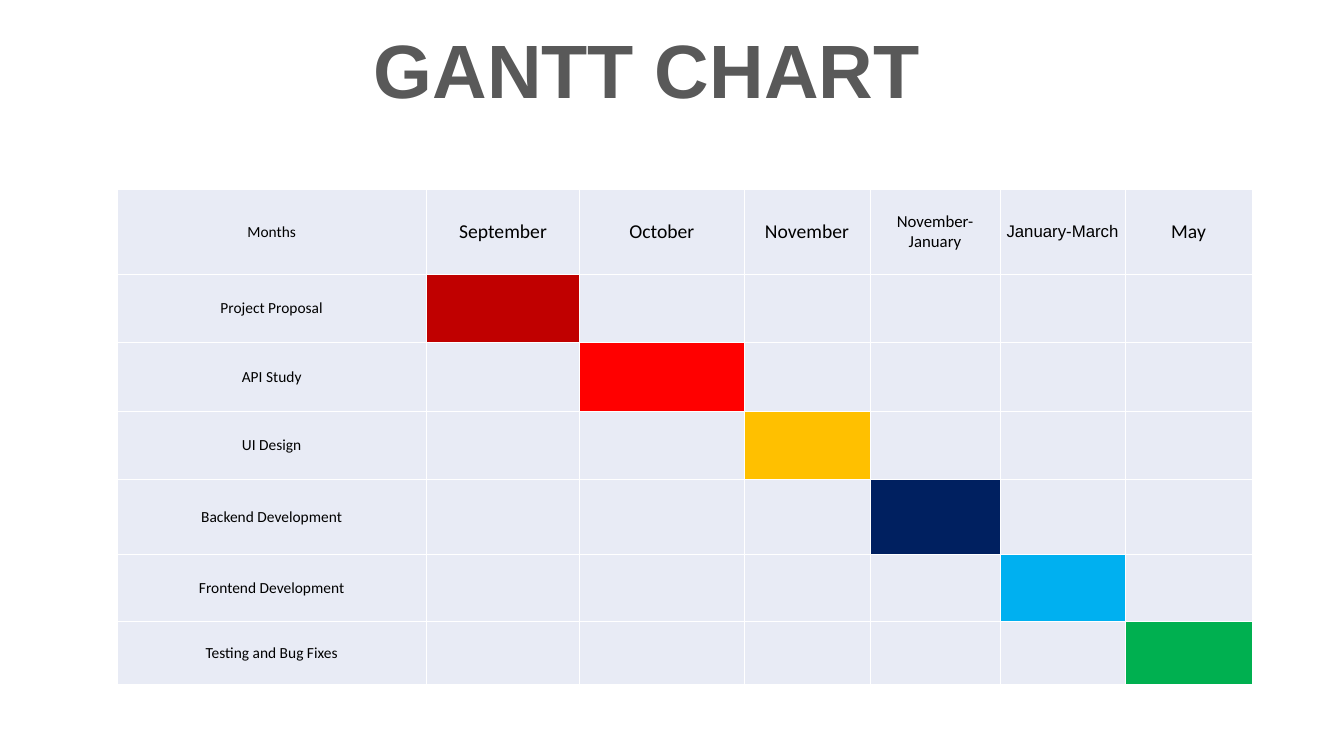
from lxml.etree import SubElement
from pptx import Presentation
from pptx.dml.color import RGBColor
from pptx.enum.text import MSO_ANCHOR, MSO_AUTO_SIZE, PP_ALIGN
from pptx.oxml.ns import qn
from pptx.util import Inches, Pt

# Colours
WHITE = RGBColor(0xFF, 0xFF, 0xFF)
BLACK = RGBColor(0, 0, 0)
GREY = RGBColor(0x59, 0x59, 0x59)
PALE = RGBColor(0xE8, 0xEB, 0xF5)
DARK_RED = RGBColor(0xC0, 0, 0)
RED = RGBColor(0xFF, 0, 0)
AMBER = RGBColor(0xFF, 0xC0, 0)
NAVY = RGBColor(0, 0x20, 0x60)
SKY = RGBColor(0, 0xB0, 0xF0)
GREEN = RGBColor(0, 0xB0, 0x50)

# Schedule: each task fills the month on its diagonal
MONTHS = [  # label, size, font, column width
    ("Months", 11, "Calibri", 3.07),
    ("September", 14, "Calibri", 1.52),
    ("October", 14, "Calibri", 1.63),
    ("November", 14, "Calibri", 1.25),
    ("November- January", 12, "Calibri", 1.29),
    ("January-March", 12, "Arial", 1.24),
    ("May", 14, "Calibri", 1.26),
]
TASKS = [  # label, bar colour, row height
    ("Project Proposal", DARK_RED, 0.68),
    ("API Study", RED, 0.68),
    ("UI Design", AMBER, 0.68),
    ("Backend Development", NAVY, 0.74),
    ("Frontend Development", SKY, 0.67),
    ("Testing and Bug Fixes", GREEN, 0.62),
]
HEADER_HEIGHT = 0.84


class GanttSlide:
    """Holds the style and the current slide."""

    def __init__(self, deck):
        self.margin = Inches(0.05)
        self.border_width = Pt(0.67)
        self.page = deck.slides.add_slide(deck.slide_layouts[5])

    def label(self, frame, text, size, font, color, bold=False):
        para = frame.paragraphs[0]
        para.alignment = PP_ALIGN.CENTER
        span = para.add_run()
        span.text = text
        span.font.size = Pt(size)
        span.font.name = font
        span.font.bold = bold
        span.font.color.rgb = color

    def title(self, text, left, top, width, height):
        box = self.page.shapes.title
        box.left, box.top = Inches(left), Inches(top)
        box.width, box.height = Inches(width), Inches(height)
        frame = box.text_frame
        frame.word_wrap = False
        frame.auto_size = MSO_AUTO_SIZE.SHAPE_TO_FIT_TEXT
        frame.vertical_anchor = MSO_ANCHOR.TOP
        self.label(frame, text, 54, "Arial", GREY, bold=True)

    def table(self, left, top, widths, heights):
        table = self.page.shapes.add_table(
            len(heights), len(widths), Inches(left), Inches(top),
            Inches(sum(widths)), Inches(sum(heights))).table
        table.first_row = table.horz_banding = False
        for column, width in zip(table.columns, widths):
            column.width = Inches(width)
        for row, height in zip(table.rows, heights):
            row.height = Inches(height)
        return table

    def cell(self, cell, fill):
        cell.vertical_anchor = MSO_ANCHOR.MIDDLE
        cell.margin_left = cell.margin_right = self.margin
        cell.margin_top = cell.margin_bottom = self.margin
        # Borders come before the fill in the cell properties
        properties = cell._tc.get_or_add_tcPr()
        for side in ("a:lnL", "a:lnR", "a:lnT", "a:lnB"):
            line = SubElement(properties, qn(side), w=str(self.border_width))
            solid = SubElement(line, qn("a:solidFill"))
            SubElement(solid, qn("a:srgbClr"), val=str(WHITE))
        cell.fill.solid()
        cell.fill.fore_color.rgb = fill


deck = Presentation()
deck.slide_width, deck.slide_height = Inches(13.33), Inches(7.5)
gantt = GanttSlide(deck)

# Title
gantt.title("GANTT CHART", 3.58, 0.18, 5.67, 1.01)

# Grid with the coloured bars
widths = [width for *_, width in MONTHS]
heights = [HEADER_HEIGHT] + [height for *_, height in TASKS]
schedule = gantt.table(1.16, 1.88, widths, heights)
for row in range(len(heights)):
    for column in range(len(widths)):
        is_bar = row == column and row > 0
        gantt.cell(schedule.cell(row, column), TASKS[row - 1][1] if is_bar else PALE)

# Month and task labels
for column, (text, size, font, _) in enumerate(MONTHS):
    gantt.label(schedule.cell(0, column).text_frame, text, size, font, BLACK)
for row, (text, *_) in enumerate(TASKS, start=1):
    gantt.label(schedule.cell(row, 0).text_frame, text, 11, "Calibri", BLACK)

deck.save("out.pptx")
